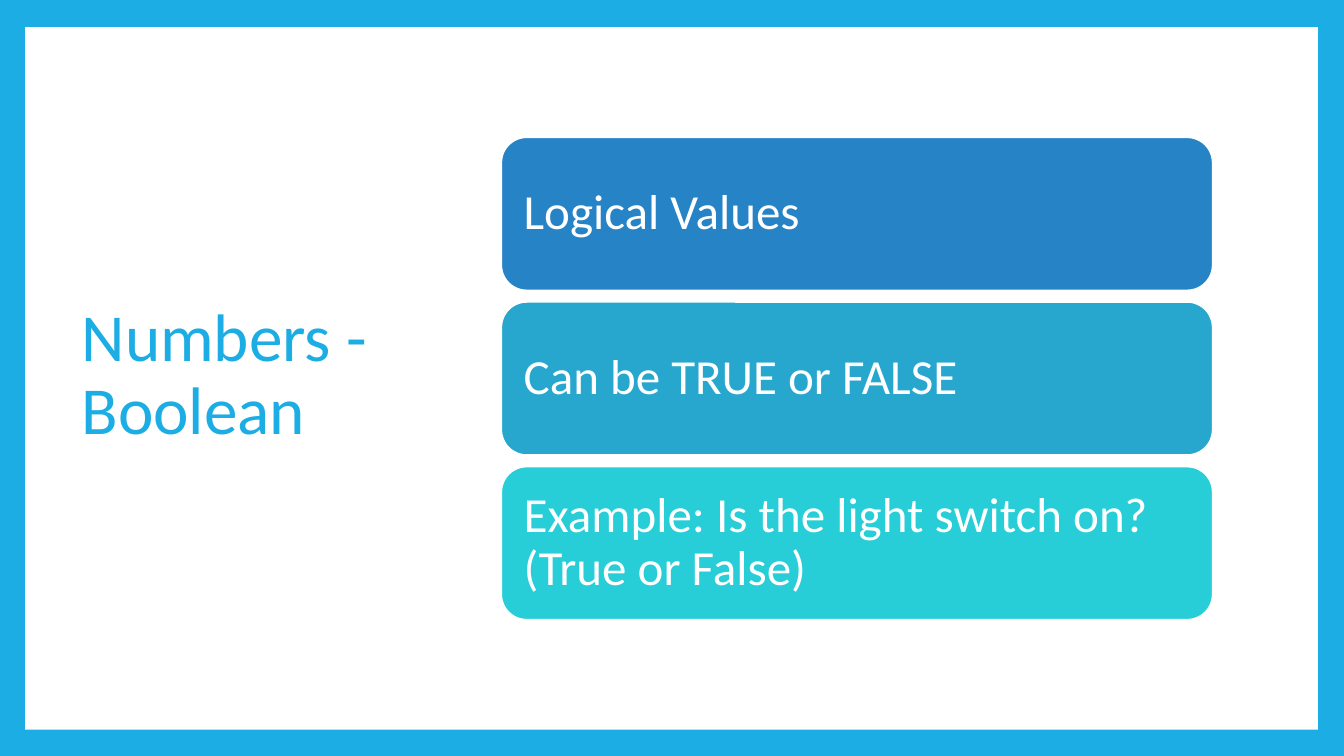
from pptx import Presentation
from pptx.dml.color import RGBColor
from pptx.enum.shapes import MSO_SHAPE as Shape
from pptx.enum.text import MSO_ANCHOR as Anchor, MSO_AUTO_SIZE as AutoSize, PP_ALIGN as Align
from pptx.util import Inches, Pt

SLIDE_W, SLIDE_H = 13.33, 7.5
FONT = "Calibri"
WHITE = RGBColor(0xFF, 0xFF, 0xFF)
SKY = RGBColor(0x1C, 0xAD, 0xE4)
BLUE = RGBColor(0x26, 0x83, 0xC6)
TEAL_BLUE = RGBColor(0x27, 0xA7, 0xCE)
TURQUOISE = RGBColor(0x27, 0xCE, 0xD7)

STATEMENTS = [
    ("Logical Values", BLUE),
    ("Can be TRUE or FALSE", TEAL_BLUE),
    ("Example: Is the light switch on? (True or False)", TURQUOISE),
]


def set_text(shape, text, size, color):
    """Write one left-aligned, vertically centred paragraph."""
    frame = shape.text_frame
    frame.text = text
    frame.word_wrap = True
    frame.auto_size = AutoSize.NONE
    frame.vertical_anchor = Anchor.MIDDLE
    paragraph = frame.paragraphs[0]
    paragraph.alignment = Align.LEFT
    paragraph.line_spacing = 0.9
    paragraph.font.name = FONT
    paragraph.font.size = Pt(size)
    paragraph.font.color.rgb = color


def add_block(slide, kind, box, fill):
    block = slide.shapes.add_shape(kind, *map(Inches, box))
    block.shadow.inherit = False
    block.fill.solid()
    block.fill.fore_color.rgb = fill
    block.line.fill.background()
    return block


def add_frame(slide, box):
    """Colour the slide's border and lay the white panel behind the title."""
    slide.background.fill.solid()
    slide.background.fill.fore_color.rgb = SKY
    panel = add_block(slide, Shape.RECTANGLE, box, WHITE)
    slide.shapes.title._element.addprevious(panel._element)


def place_title(slide, box, text):
    title = slide.shapes.title
    title.left, title.top, title.width, title.height = map(Inches, box)
    set_text(title, text, 48, SKY)


def add_statements(slide, box, statements, gap):
    """Stack equal rounded cards, separated by gap, to fill the box."""
    left, top, width, height = box
    pitch = (height + gap) / len(statements)
    for row, (text, color) in enumerate(statements):
        card_box = (left, top + row * pitch, width, pitch - gap)
        card = add_block(slide, Shape.ROUNDED_RECTANGLE, card_box, color)
        card.line.color.rgb = WHITE
        card.line.width = Pt(1.5)
        set_text(card, text, 35, WHITE)
        # The rounded corners add their own inset to these margins
        card.text_frame.margin_left = card.text_frame.margin_right = Inches(0.15)


def main():
    deck = Presentation()
    deck.slide_width, deck.slide_height = Inches(SLIDE_W), Inches(SLIDE_H)
    slide = deck.slides.add_slide(deck.slide_layouts[5])
    add_frame(slide, (0.25, 0.27, 12.82, 6.97))
    place_title(slide, (0.71, 0.67, 3.68, 6.13), "Numbers - Boolean")
    add_statements(slide, (4.97, 1.36, 7.06, 4.79), STATEMENTS, 0.11)
    deck.save("out.pptx")


if __name__ == "__main__":
    main()
